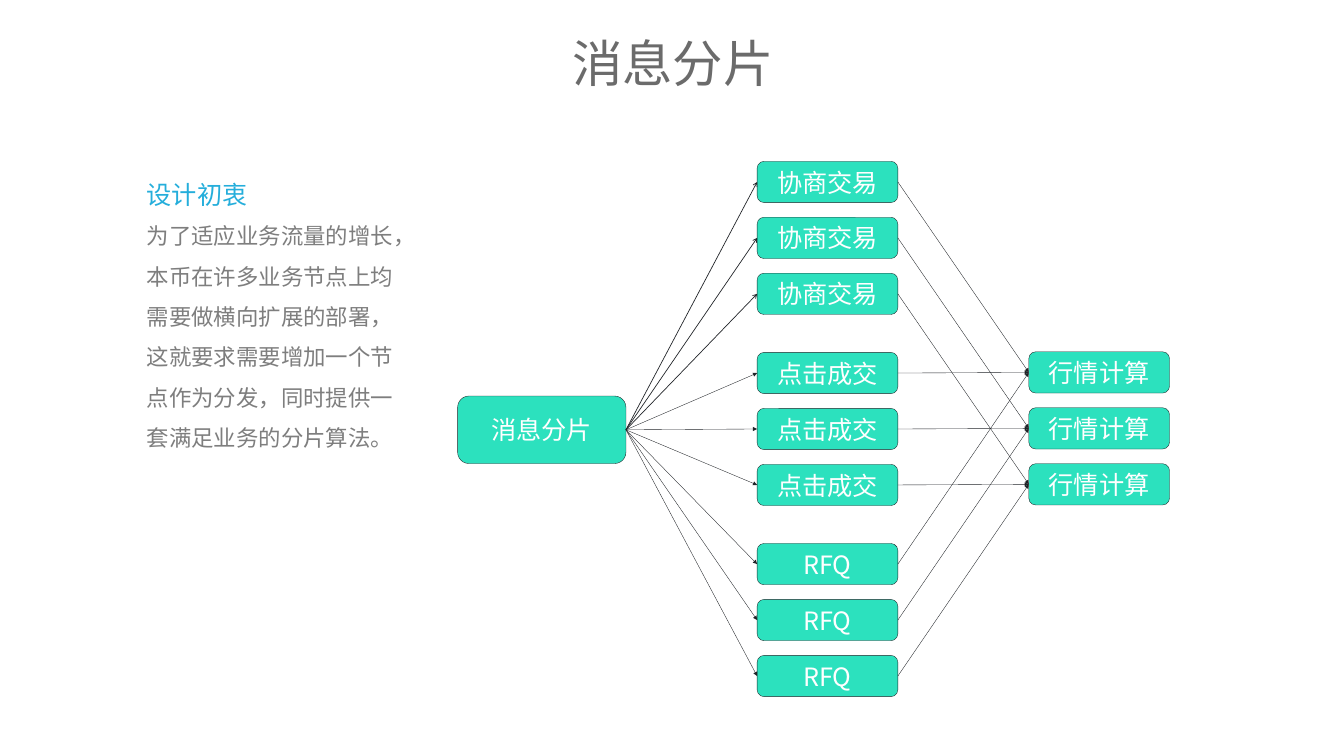
from dataclasses import dataclass

from lxml import etree
from pptx import Presentation
from pptx import util as u
from pptx.dml.color import RGBColor
from pptx.enum import shapes, text
from pptx.oxml.ns import qn
from pptx.shapes.autoshape import Shape
from pptx.slide import Slide

FONT = "Noto Sans CJK SC"
GREEN = RGBColor(0x2C, 0xE1, 0xBE)
INK = RGBColor(0x21, 0x24, 0x28)
BLUE = RGBColor(0x25, 0xAE, 0xDB)
GREY = RGBColor(0x7E, 0x7E, 0x7E)
TITLE_GREY = RGBColor(0x6B, 0x6B, 0x6B)
WHITE = RGBColor(0xFF, 0xFF, 0xFF)

LEFT_SIDE, RIGHT_SIDE = 1, 3
NODE_PITCH = 2.82
GROUP_PITCH = 9.63


@dataclass(frozen=True)
class Node:
    """A labelled box, measured in centimetres."""
    label: str
    left: float
    top: float
    width: float = 7.09
    height: float = 2.08


def write(shape: Shape, words: str, *, size: float, color: RGBColor,
          align: text.PP_ALIGN = text.PP_ALIGN.LEFT,
          line_spacing: float = 1.0) -> None:
    """Fill the empty first paragraph, or append a new one."""
    frame = shape.text_frame
    paragraph = frame.add_paragraph() if frame.text else frame.paragraphs[0]
    paragraph.alignment = align
    paragraph.line_spacing = line_spacing
    run = paragraph.add_run()
    run.text = words
    run.font.size = u.Pt(size)
    run.font.name = FONT
    run.font.color.rgb = color
    east_asian = etree.SubElement(run.font._element, qn("a:ea"))
    east_asian.set("typeface", FONT)


def add_text_box(slide: Slide, left: float, top: float, width: float,
                 height: float, wrap: bool) -> Shape:
    box = slide.shapes.add_textbox(u.Cm(left), u.Cm(top), u.Cm(width), u.Cm(height))
    box.text_frame.word_wrap = wrap
    box.text_frame.auto_size = text.MSO_AUTO_SIZE.SHAPE_TO_FIT_TEXT
    return box


def add_node(slide: Slide, node: Node) -> Shape:
    shape = slide.shapes.add_shape(
        shapes.MSO_SHAPE.ROUNDED_RECTANGLE,
        u.Cm(node.left), u.Cm(node.top), u.Cm(node.width), u.Cm(node.height))
    shape.shadow.inherit = False
    shape.fill.solid()
    shape.fill.fore_color.rgb = GREEN
    shape.line.color.rgb = INK
    shape.line.width = u.Pt(0.5)
    shape.text_frame.vertical_anchor = text.MSO_ANCHOR.MIDDLE
    write(shape, node.label, size=36, color=WHITE, align=text.PP_ALIGN.CENTER)
    return shape


def add_arrow(slide: Slide, source: Shape, target: Shape,
              width: float = 0.5, head: str = "triangle") -> None:
    """Join the right side of source to the left side of target."""
    arrow = slide.shapes.add_connector(shapes.MSO_CONNECTOR.STRAIGHT, 0, 0, 0, 0)
    arrow.begin_connect(source, RIGHT_SIDE)
    arrow.end_connect(target, LEFT_SIDE)
    arrow.line.color.rgb = INK
    arrow.line.width = u.Pt(width)
    line = arrow.line._get_or_add_ln()
    etree.SubElement(line, qn("a:tailEnd")).set("type", head)
    etree.SubElement(arrow._element.spPr, qn("a:effectLst"))


def add_column(slide: Slide, label: str, left: float, top: float) -> list[Shape]:
    """Stack three equal nodes."""
    return [add_node(slide, Node(label, left, top + row * NODE_PITCH))
            for row in range(3)]


def main() -> None:
    presentation = Presentation()
    presentation.slide_width = u.Cm(67.72)
    presentation.slide_height = u.Cm(38.1)
    slide = presentation.slides.add_slide(presentation.slide_layouts[6])

    title = add_text_box(slide, 28.78, 1.6, 10.26, 3.07, wrap=False)
    frame = title.text_frame
    frame.margin_left = frame.margin_right = 0
    frame.margin_top = frame.margin_bottom = 0
    frame.vertical_anchor = text.MSO_ANCHOR.MIDDLE
    write(title, "消息分片", size=72, color=TITLE_GREY, align=text.PP_ALIGN.CENTER)

    purpose = add_text_box(slide, 7.14, 8.13, 13.69, 16.56, wrap=True)
    write(purpose, "设计初衷", size=36, color=BLUE, line_spacing=1.5)
    write(purpose,
          "为了适应业务流量的增长，本币在许多业务节点上均需要做横向扩展的部署，"
          "这就要求需要增加一个节点作为分发，同时提供一套满足业务的分片算法。",
          size=32, color=GREY, line_spacing=1.5)

    splitter = add_node(slide, Node("消息分片", 23.06, 19.96, 8.48, 3.4))
    calculators = add_column(slide, "行情计算", 51.84, 17.73)
    for index, label in enumerate(("协商交易", "点击成交", "RFQ")):
        services = add_column(slide, label, 38.15, 8.13 + index * GROUP_PITCH)
        width, head = (1, "arrow") if index == 0 else (0.5, "triangle")
        for service, calculator in zip(services, calculators):
            add_arrow(slide, splitter, service, width, head)
            add_arrow(slide, service, calculator)

    presentation.save("out.pptx")


if __name__ == "__main__":
    main()
